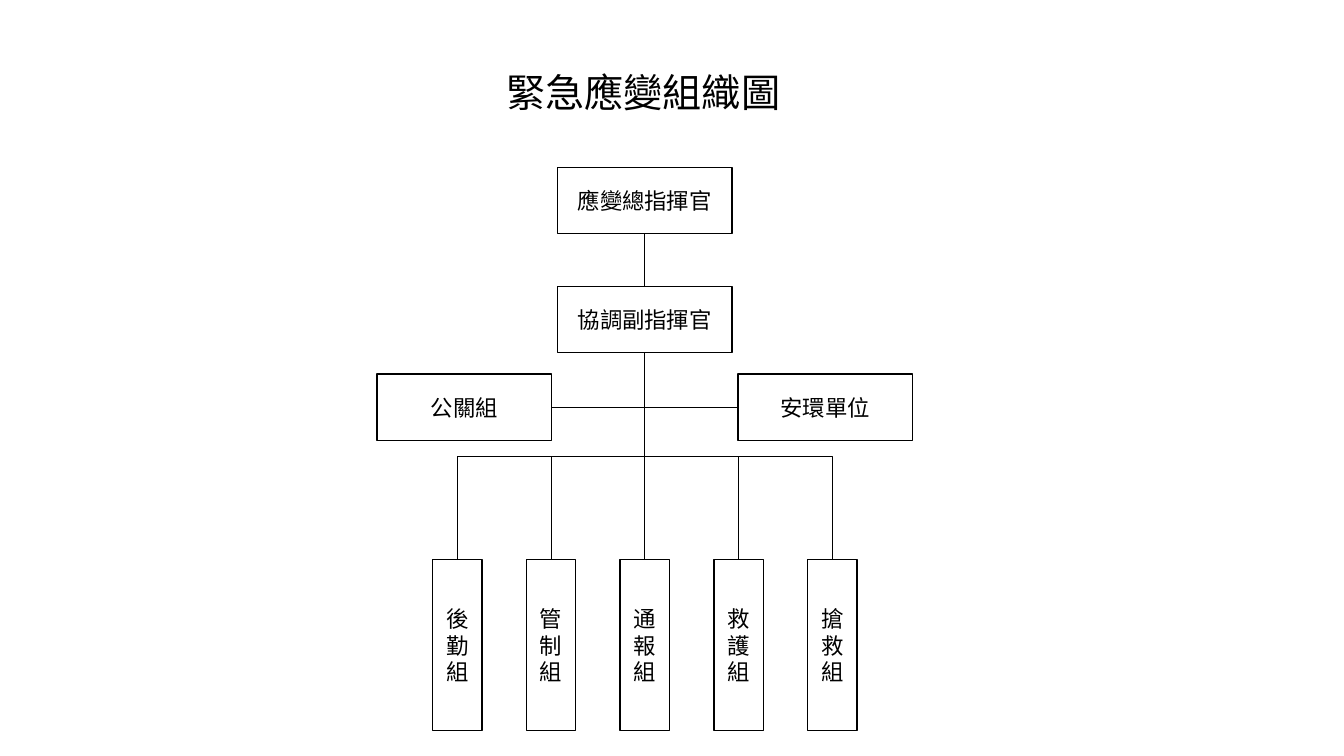
from lxml import etree
from pptx import Presentation
from pptx.dml.color import RGBColor
from pptx.enum.shapes import MSO_CONNECTOR, MSO_SHAPE
from pptx.enum.text import MSO_ANCHOR, MSO_AUTO_SIZE, PP_ALIGN
from pptx.oxml.ns import qn
from pptx.util import Inches, Pt

RECTANGLE = MSO_SHAPE.RECTANGLE
STRAIGHT, ELBOW = MSO_CONNECTOR.STRAIGHT, MSO_CONNECTOR.ELBOW
MIDDLE = MSO_ANCHOR.MIDDLE
LEFT, CENTER = PP_ALIGN.LEFT, PP_ALIGN.CENTER
TOP_SIDE, LEFT_SIDE, BOTTOM_SIDE, RIGHT_SIDE = range(4)
COLORS = {"ink": "000000", "paper": "FFFFFF"}
FONT = "Noto Sans CJK SC"


def write_text(shape, text, size=16, align=CENTER, wrap=True):
    frame = shape.text_frame
    frame.word_wrap = wrap
    frame.vertical_anchor = MIDDLE
    paragraph = frame.paragraphs[0]
    paragraph.alignment = align
    run = paragraph.add_run()
    run.text = text
    run.font.size = Pt(size)
    run.font.color.rgb = RGBColor.from_string(COLORS["ink"])
    run.font.name = FONT
    etree.SubElement(run._r.get_or_add_rPr(), qn("a:ea"), typeface=FONT)


def connect(upper, lower, side=TOP_SIDE, kind=ELBOW):
    """Join the bottom of one box to a side of another, leaving downwards."""
    connector = slide.shapes.add_connector(kind, 0, 0, 0, 0)
    connector.begin_connect(upper, BOTTOM_SIDE)
    connector.end_connect(lower, side)
    connector.line.width = Pt(0.5)
    connector.line.color.rgb = RGBColor.from_string(COLORS["ink"])
    properties = connector._element.spPr
    etree.SubElement(properties, qn("a:effectLst"))
    if kind == ELBOW:
        start_x, start_y = connector.begin_x, connector.begin_y
        across, down = connector.end_x - start_x, connector.end_y - start_y
        transform = properties.find(qn("a:xfrm"))
        transform.attrib.clear()
        # A quarter turn makes the elbow start vertically
        transform.set("rot", "5400000" if across < 0 else "16200000")
        if across >= 0:
            transform.set("flipH", "1")
        connector.width, connector.height = down, abs(across)
        connector.left = start_x + (across - down) // 2
        connector.top = start_y + (down - abs(across)) // 2
        if side != TOP_SIDE:
            properties.find(qn("a:prstGeom")).set("prst", "bentConnector2")


presentation = Presentation()
presentation.slide_width = Inches(13.33)
presentation.slide_height = Inches(7.5)
slide = presentation.slides.add_slide(presentation.slide_layouts[5])

# Title
title = slide.shapes.title
title.left, title.top = Inches(4.92), Inches(0.63)
title.width, title.height = Inches(2.95), Inches(0.57)
write_text(title, "緊急應變組織圖", size=28, align=LEFT, wrap=False)
title.text_frame.auto_size = MSO_AUTO_SIZE.SHAPE_TO_FIT_TEXT

# Boxes: command line, staff units, then five evenly spaced teams
TEAMS = ["後勤組", "管制組", "通報組", "救護組", "搶救組"]
UNIT_SIZE, TEAM_SIZE = (1.73, 0.66), (0.49, 1.7)
layout = [
    ("應變總指揮官", 5.53, 1.66, UNIT_SIZE),
    ("協調副指揮官", 5.53, 2.84, UNIT_SIZE),
    ("公關組", 3.74, 3.71, UNIT_SIZE),
    ("安環單位", 7.32, 3.71, UNIT_SIZE),
]
layout += [(team, 4.29 + 0.93 * index, 5.55, TEAM_SIZE)
           for index, team in enumerate(TEAMS)]

boxes = {}
for name, left, top, (width, height) in layout:
    box = slide.shapes.add_shape(
        RECTANGLE, Inches(left), Inches(top), Inches(width), Inches(height))
    box.shadow.inherit = False
    box.fill.solid()
    box.fill.fore_color.rgb = RGBColor.from_string(COLORS["paper"])
    box.line.color.rgb = RGBColor.from_string(COLORS["ink"])
    box.line.width = Pt(1)
    write_text(box, name)
    boxes[name] = box

# Connectors
deputy = boxes["協調副指揮官"]
connect(boxes["應變總指揮官"], deputy, kind=STRAIGHT)
connect(deputy, boxes["公關組"], side=RIGHT_SIDE)
connect(deputy, boxes["安環單位"], side=LEFT_SIDE)
for team in TEAMS:
    connect(deputy, boxes[team])

presentation.save("out.pptx")
